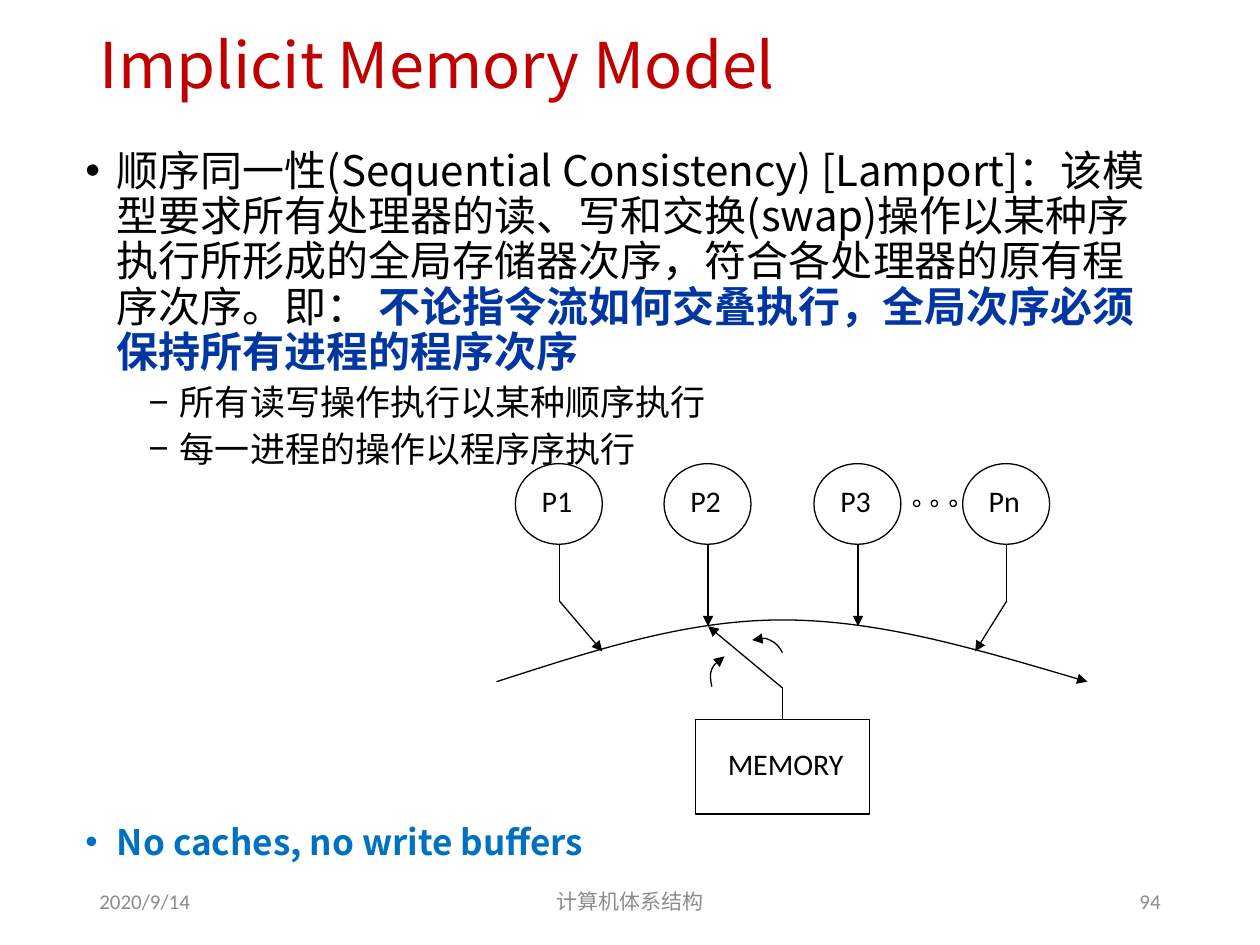
from lxml.etree import SubElement
from pptx import Presentation
from pptx.dml.color import RGBColor
from pptx.enum.shapes import MSO_CONNECTOR, MSO_SHAPE
from pptx.enum.text import MSO_ANCHOR, MSO_AUTO_SIZE, PP_ALIGN
from pptx.oxml.ns import qn
from pptx.util import Pt

PX = 9144
HUES = {"title": "C00000", "ink": "000000", "key": "0036A2", "note": "0070C0", "foot": "8C8C8C"}
SANS, BODY = "Calibri", "Noto Sans CJK SC"


def emu(*sizes):
    """Turn px into EMU."""
    return [round(size * PX) for size in sizes]


def add_run(para, text, size, hue, face=BODY, bold=False):
    """Add one formatted run."""
    run = para.add_run()
    run.text = text
    font = run.font
    font.size, font.name, font.bold = Pt(size), face, bold
    font.color.rgb = RGBColor.from_string(HUES[hue])
    SubElement(font._element, qn("a:ea"), typeface=BODY)


def add_mark(para, mark, left):
    """Give a paragraph a hanging bullet."""
    props = para._p.get_or_add_pPr()
    props.set("marL", str(left * PX))
    props.set("indent", str(-25 * PX))
    SubElement(props, qn("a:buFont"), typeface="Arial")
    SubElement(props, qn("a:buChar"), char=mark)


def add_title(slide, box):
    """Place the title."""
    title = slide.shapes.title
    title.left, title.top, title.width, title.height = emu(*box)
    frame = title.text_frame
    frame.auto_size = MSO_AUTO_SIZE.NONE
    frame.vertical_anchor = MSO_ANCHOR.MIDDLE
    para = frame.paragraphs[0]
    para.alignment, para.line_spacing = PP_ALIGN.LEFT, 0.9
    add_run(para, "Implicit Memory Model", 36, "title")


def add_body(slide, box):
    """Place the bulleted text."""
    frame = slide.shapes.add_textbox(*emu(*box)).text_frame
    frame.word_wrap = True
    lead = (
        "顺序同一性(Sequential Consistency) [Lamport]：该模型要求所有处理器的读、写和交换(swap)操作"
        "以某种序执行所形成的全局存储器次序，符合各处理器的原有程序次序。即： "
    )
    key = "不论指令流如何交叠执行，全局次序必须保持所有进程的程序次序"
    rows = [
        ("•", 25, 0, 24, [(lead, "ink", False), (key, "key", True)]),
        ("−", 75, 5, 20, [("所有读写操作执行以某种顺序执行", "ink", False)]),
        ("−", 75, 5, 20, [("每一进程的操作以程序序执行", "ink", False)]),
        ("•", 25, 203, 20, [("No caches, no write buffers", "note", True)]),
    ]
    for i, (mark, left, gap, size, runs) in enumerate(rows):
        para = frame.add_paragraph() if i else frame.paragraphs[0]
        add_mark(para, mark, left)
        para.line_spacing, para.space_before = 0.9, Pt(gap)
        for text, hue, bold in runs:
            add_run(para, text, size, hue, bold=bold)


def ink_line(item, tip=False):
    """Draw a thin line, with an arrowhead if asked."""
    item.line.width = Pt(0.75)
    item.line.color.rgb = RGBColor.from_string(HUES["ink"])
    if tip:
        SubElement(item.line._get_or_add_ln(), qn("a:tailEnd"), type="triangle")


def add_node(slide, kind, box, text="", pads=(0, 3)):
    """Add an outlined shape with a label set off by its side pads."""
    node = slide.shapes.add_shape(kind, *emu(*box))
    node.shadow.inherit = False
    node.fill.background()
    ink_line(node)
    if text:
        frame = node.text_frame
        frame.margin_left, frame.margin_right = emu(*pads)
        frame.margin_top, frame.margin_bottom = emu(0, 5)
        frame.word_wrap = False
        frame.vertical_anchor = MSO_ANCHOR.MIDDLE
        frame.paragraphs[0].alignment = PP_ALIGN.CENTER
        add_run(frame.paragraphs[0], text, 17.1, "ink", SANS)
    return node


def add_link(slide, start, end, tip=False):
    """Add a straight line."""
    link = slide.shapes.add_connector(MSO_CONNECTOR.STRAIGHT, *emu(*start, *end))
    ink_line(link, tip)
    SubElement(link._element.spPr, qn("a:effectLst"))
    return link


def add_curve(slide, pts):
    """Add an arrow along chained cubic curves."""
    spots = [emu(*spot) for spot in pts]
    form = slide.shapes.build_freeform(*spots[0])
    form.add_line_segments(spots[1:], close=False)
    curve = form.convert_to_shape()
    legs = list(curve._element.iter(qn("a:lnTo")))
    track = legs[0].getparent()
    for n in range(0, len(legs), 3):
        cubic = SubElement(track, qn("a:cubicBezTo"))
        for leg in legs[n:n + 3]:
            cubic.append(leg[0])
            track.remove(leg)
    curve.shadow.inherit = False
    curve.fill.background()
    ink_line(curve, True)


def add_graph(slide, box):
    """Draw processors that take turns on one memory."""
    left, top, wide, high = box

    def at(x, y):
        return left + x, top + y

    mids = [50 + round(i * 355 / 3) for i in range(4)]
    for mid, name in zip(mids, ("P1", "P2", "P3", "Pn")):
        add_node(slide, MSO_SHAPE.FLOWCHART_CONNECTOR, (*at(mid - 35, 0), 69, 64), name)
    for i in range(3):
        add_node(slide, MSO_SHAPE.OVAL, (*at(331 + 29 * i // 2, 29), 5, 5))
    for mid, end in ((mids[0], 84), (mids[3], 380)):
        add_link(slide, at(mid, 64), at(mid, 109))
        add_link(slide, at(mid, 109), at(end, 149), True)
    for mid in mids[1:3]:
        add_link(slide, at(mid, 64), at(mid, 129), True)

    place = (*at(158, high - 75), 138, 75)
    store = add_node(slide, MSO_SHAPE.RECTANGLE, place, "MEMORY", (5, 0))
    bend = at(227, 178)
    add_link(slide, bend, at(mids[1], 129), True)
    add_link(slide, bend, at(227, high - 75)).end_connect(store, 0)

    curves = [
        [(0, 173), (75, 149), (149, 124), (227, 124), (305, 124), (387, 149), (wide, 173)],
        [(227, 150), (225, 146), (222, 142), (217, 140), (213, 138), (208, 139), (203, 140)],
        [(171, 177), (170, 172), (169, 167), (171, 163), (173, 159), (177, 156), (181, 153)],
    ]
    for pts in curves:
        add_curve(slide, [at(*spot) for spot in pts])


def add_foot(slide, box):
    """Place date, course and page number."""
    left, top, wide, high = box
    cells = [
        (0, 225, "2020/9/14", PP_ALIGN.LEFT),
        (262, 338, "计算机体系结构", PP_ALIGN.CENTER),
        (wide - 225, 225, "94", PP_ALIGN.RIGHT),
    ]
    for x, span, text, side in cells:
        frame = slide.shapes.add_textbox(*emu(left + x, top, span, high)).text_frame
        frame.word_wrap = True
        frame.vertical_anchor = MSO_ANCHOR.MIDDLE
        frame.paragraphs[0].alignment = side
        add_run(frame.paragraphs[0], text, 12, "foot", SANS)


def main():
    """Build the slide."""
    deck = Presentation()
    deck.slide_width, deck.slide_height = emu(1000, 750)
    slide = deck.slides.add_slide(deck.slide_layouts[5])
    add_title(slide, (69, 28, 862, 52))
    add_body(slide, (58, 114, 862, 527))
    add_graph(slide, (394, 368, 469, 278))
    add_foot(slide, (69, 695, 862, 40))
    deck.save("out.pptx")


if __name__ == "__main__":
    main()
